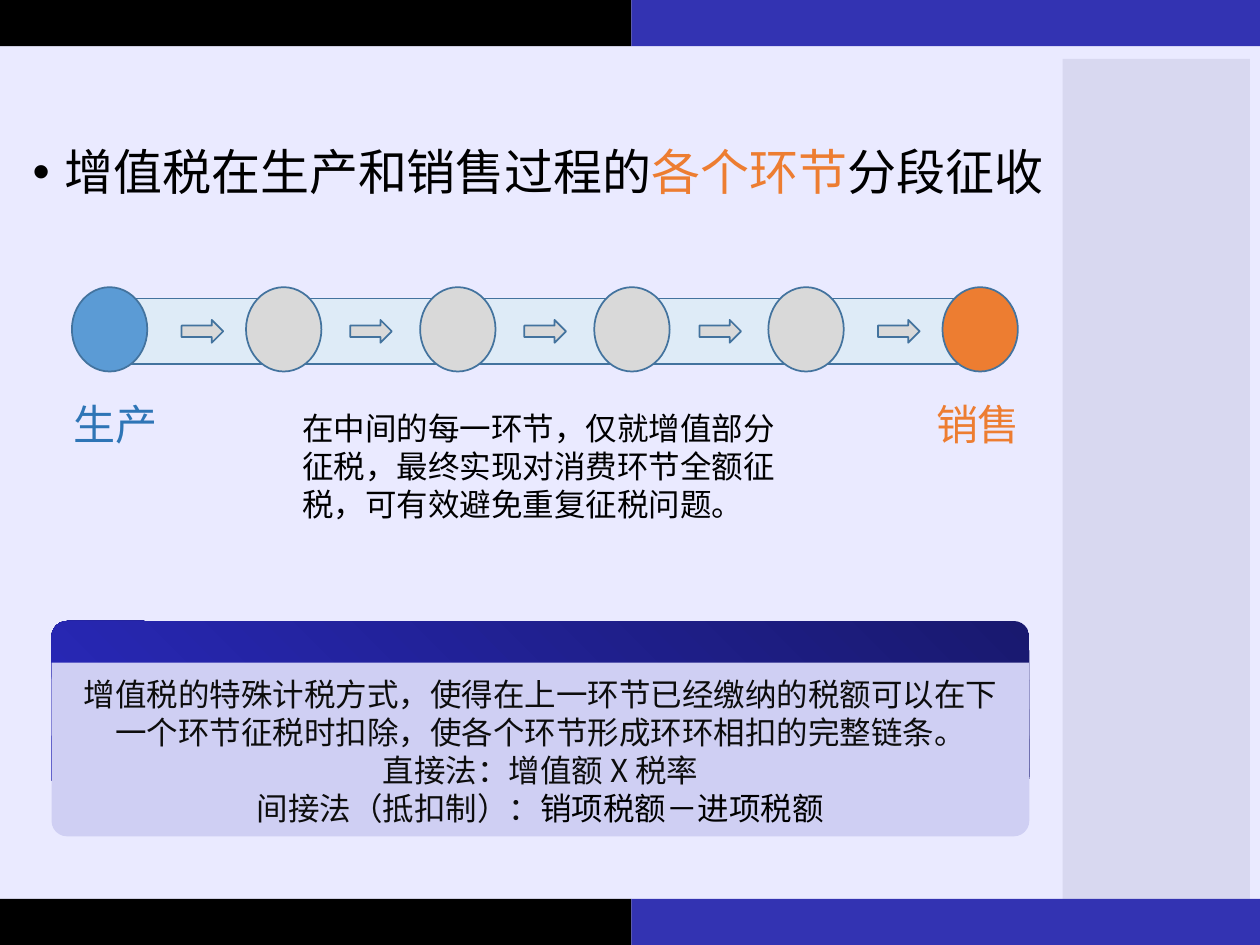
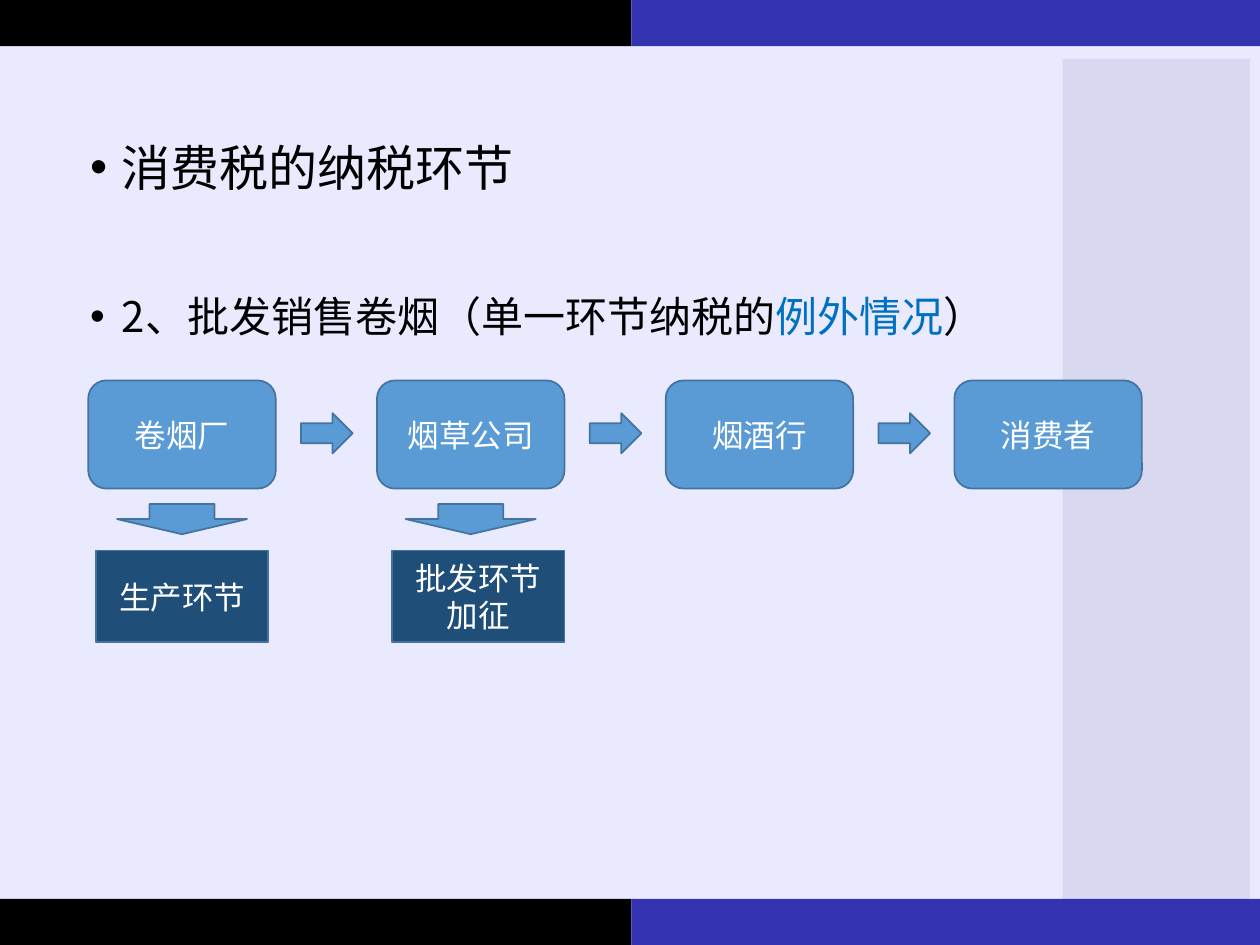
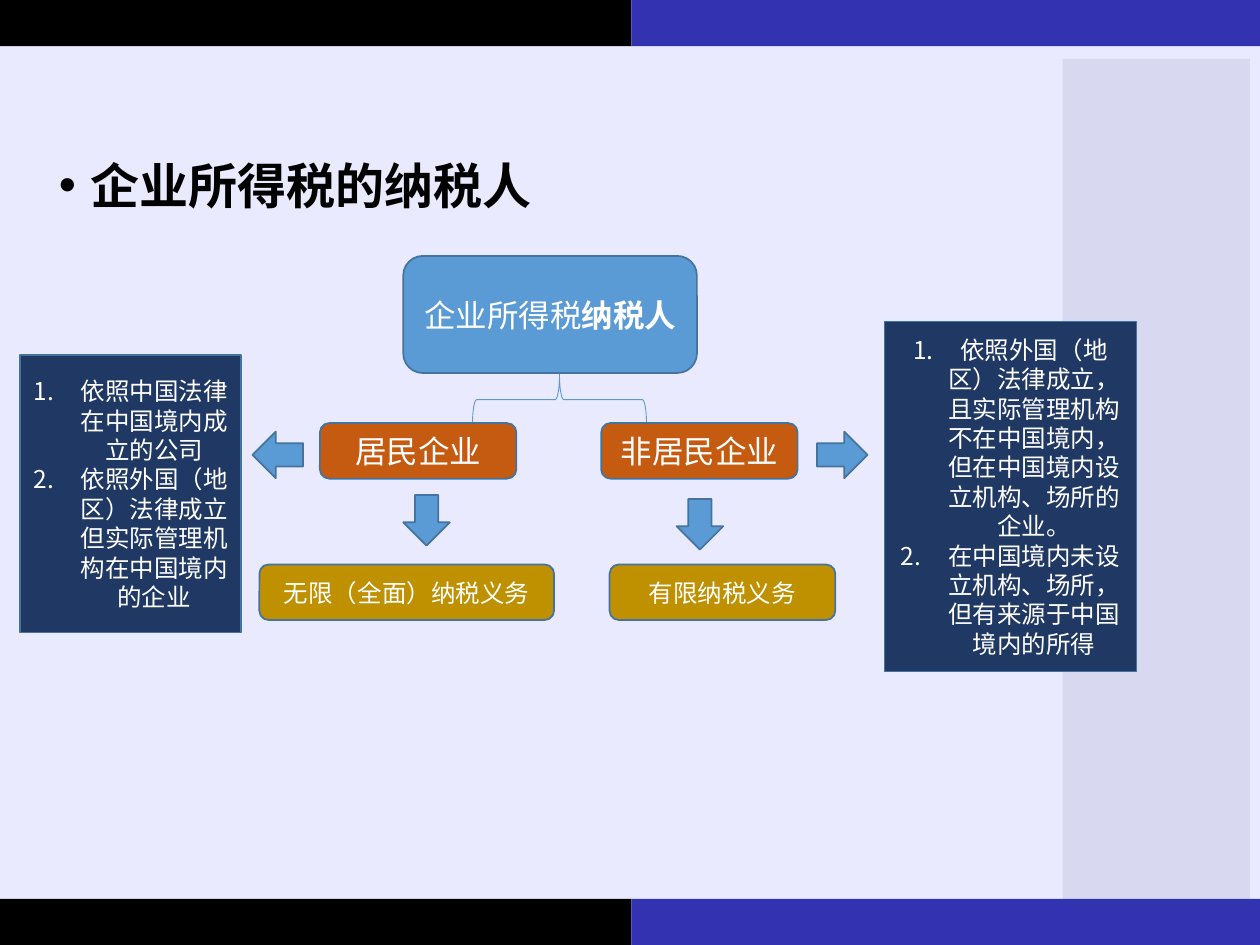
import pptx
import pptx.dml.color
import pptx.enum.shapes
import pptx.enum.text
import pptx.oxml.ns
import pptx.util
from lxml import etree

Cm = pptx.util.Cm
Pt = pptx.util.Pt
RGBColor = pptx.dml.color.RGBColor
Shape = pptx.enum.shapes.MSO_SHAPE
Align = pptx.enum.text.PP_ALIGN
Anchor = pptx.enum.text.MSO_ANCHOR

FONT = "Noto Sans CJK JP"
BLACK = RGBColor(0x00, 0x00, 0x00)
WHITE = RGBColor(0xFF, 0xFF, 0xFF)
BAND_BLUE = RGBColor(0x33, 0x33, 0xB2)
BACKDROP = RGBColor(0xEA, 0xEA, 0xFF)
SIDEBAR = RGBColor(0xD8, 0xD8, 0xF0)
OUTLINE = RGBColor(0x43, 0x73, 0x9E)
BLUE = RGBColor(0x5B, 0x9B, 0xD5)
PALE_BLUE = RGBColor(0xDE, 0xEB, 0xF7)
LABEL_BLUE = RGBColor(0x2E, 0x75, 0xB6)
ACCENT_BLUE = RGBColor(0x00, 0x70, 0xC0)
DEEP_BLUE = RGBColor(0x1F, 0x4E, 0x79)
NAVY = RGBColor(0x20, 0x38, 0x64)
ORANGE = RGBColor(0xED, 0x7D, 0x31)
RUST = RGBColor(0xC5, 0x5A, 0x11)
GOLD = RGBColor(0xBF, 0x90, 0x00)
GREY = RGBColor(0xD9, 0xD9, 0xD9)
PANEL = RGBColor(0xCF, 0xCF, 0xF3)
PANEL_TEXT = RGBColor(0x0D, 0x0D, 0x0D)
GRADIENT = (RGBColor(0x19, 0x19, 0x6F), RGBColor(0x29, 0x29, 0xBC))

WIDTH, HEIGHT = 25.4, 19.05
BAND_HEIGHT, BAND_SPLIT = 0.93, 12.73

# A paragraph is a string or a list of (text, emphasis);
# emphasis is None, a colour or BOLD.
BOLD = "bold"
VAT_HEADING = [("增值税在生产和销售过程的", None), ("各个环节", ORANGE), ("分段征收", None)]
VAT_STAGE_COLOURS = [BLUE, GREY, GREY, GREY, GREY, ORANGE]
VAT_ARROW_LEFTS = [3.66, 7.06, 10.57, 14.1, 17.7]
VAT_END_LABELS = [("生产", 1.24, LABEL_BLUE), ("销售", 18.62, ORANGE)]
VAT_NOTE = "在中间的每一环节，仅就增值部分征税，最终实现对消费环节全额征税，可有效避免重复征税问题。"
VAT_METHODS = [
    "增值税的特殊计税方式，使得在上一环节已经缴纳的税额可以在下一个环节征税时扣除，使各个环节形成环环相扣的完整链条。",
    "直接法：增值额 X 税率",
    [("间接法（抵扣制）：", None), ("销项税额－进项税额", BLACK)],
]

EXCISE_HEADING = "消费税的纳税环节"
EXCISE_CASE = [("2、批发销售卷烟（单一环节纳税的", None), ("例外情况", ACCENT_BLUE), ("）", None)]
EXCISE_CHAIN = ["卷烟厂", "烟草公司", "烟酒行", "消费者"]
EXCISE_TAXED = ["生产环节", "批发环节加征"]

INCOME_HEADING = [("企业所得税的纳税人", BOLD)]
INCOME_ROOT = [("企业所得税", None), ("纳税人", BOLD)]
INCOME_BOXES = [  # text, left, top, width, fill, size
    ("居民企业", 6.45, 8.53, 3.96, RUST, 18),
    ("非居民企业", 12.12, 8.53, 3.96, RUST, 18),
    ("无限（全面）纳税义务", 5.23, 11.38, 5.94, GOLD, 14),
    ("有限纳税义务", 12.29, 11.38, 4.55, GOLD, 14),
]
INCOME_ARROWS = [(8.13, 9.98, 0), (13.64, 10.06, 0), (5.13, 8.66, 90), (16.51, 8.66, 270)]
INCOME_DEFINITIONS = [
    ((0.41, 7.16, 4.45, 5.59), [
        "依照中国法律在中国境内成立的公司",
        "依照外国（地区）法律成立但实际管理机构在中国境内的企业",
    ]),
    ((17.83, 6.48, 5.08, 7.06), [
        "依照外国（地区）法律成立，且实际管理机构不在中国境内，但在中国境内设立机构、场所的企业。",
        "在中国境内未设立机构、场所，但有来源于中国境内的所得",
    ]),
]


def add_marker(paragraph, numbered):
    """Give the paragraph a hanging indent with a bullet or an automatic number."""
    indent = Cm(0.95 if numbered else 0.64)
    properties = paragraph._p.get_or_add_pPr()
    properties.set("marL", str(indent))
    properties.set("indent", str(-indent))
    qn = pptx.oxml.ns.qn
    if numbered:
        etree.SubElement(properties, qn("a:buAutoNum"), type="arabicPeriod")
    else:
        etree.SubElement(properties, qn("a:buFont"), typeface="Arial")
        etree.SubElement(properties, qn("a:buChar"), char="•")


def fill_paragraph(paragraph, content, size, colour):
    font = paragraph.font
    font.size, font.name = Pt(size), FONT
    font.color.rgb = colour
    font._element.set("lang", "zh-CN")
    etree.SubElement(font._element, pptx.oxml.ns.qn("a:ea"), typeface=FONT)
    runs = [(content, None)] if isinstance(content, str) else content
    for text, emphasis in runs:
        run = paragraph.add_run()
        run.text = text
        if emphasis == BOLD:
            run.font.bold = True
        elif emphasis is not None:
            run.font.color.rgb = emphasis


def write(shape, paragraphs, size, colour=WHITE, align=Align.CENTER, numbered=False):
    frame = shape.text_frame
    frame.word_wrap = True
    for index, content in enumerate(paragraphs):
        paragraph = frame.add_paragraph() if index else frame.paragraphs[0]
        if numbered:
            add_marker(paragraph, numbered=True)
        paragraph.alignment = align
        fill_paragraph(paragraph, content, size, colour)


def add_shape(slide, kind, box, fill=None, line=OUTLINE, line_width=1, rotation=0):
    shape = slide.shapes.add_shape(kind, *map(Cm, box))
    shape.shadow.inherit = False
    shape.rotation = rotation
    if fill is None:
        shape.fill.background()
    else:
        shape.fill.solid()
        shape.fill.fore_color.rgb = fill
    if line is None:
        shape.line.fill.background()
    else:
        shape.line.color.rgb = line
        shape.line.width = Pt(line_width)
    shape.text_frame.vertical_anchor = Anchor.MIDDLE
    return shape


def add_text(slide, box, text, size, colour):
    write(slide.shapes.add_textbox(*map(Cm, box)), [text], size, colour, Align.LEFT)


def add_headings(slide, box, items, line_spacing=1.0):
    """Bulleted headings; each item is (content, size, space before in points)."""
    frame = slide.shapes.add_textbox(*map(Cm, box)).text_frame
    frame.word_wrap = True
    for index, (content, size, space_before) in enumerate(items):
        paragraph = frame.add_paragraph() if index else frame.paragraphs[0]
        add_marker(paragraph, numbered=False)
        paragraph.line_spacing = line_spacing
        if space_before:
            paragraph.space_before = Pt(space_before)
        fill_paragraph(paragraph, content, size, BLACK)


def add_themed_slide(presentation):
    slide = presentation.slides.add_slide(presentation.slide_layouts[6])
    rectangles = [
        ((0, BAND_HEIGHT, WIDTH, HEIGHT - 2 * BAND_HEIGHT), BACKDROP),
        ((21.42, 1.19, 3.78, 17.12), SIDEBAR),
    ]
    for top in (0, HEIGHT - BAND_HEIGHT):
        rectangles += [
            ((0, top, BAND_SPLIT, BAND_HEIGHT), BLACK),
            ((BAND_SPLIT, top, WIDTH - BAND_SPLIT, BAND_HEIGHT), BAND_BLUE),
        ]
    for box, colour in rectangles:
        add_shape(slide, Shape.RECTANGLE, box, colour, line=None)
    return slide


def build_vat_slide(slide):
    add_headings(slide, (0.41, 2.87, 22.86, 3.23), [(VAT_HEADING, 28, 0)], 0.9)
    add_shape(slide, Shape.RECTANGLE, (1.85, 6.02, 17.55, 1.32), PALE_BLUE)
    for index, colour in enumerate(VAT_STAGE_COLOURS):
        add_shape(slide, Shape.OVAL, (1.45 + 3.51 * index, 5.79, 1.52, 1.7), colour)
    for left in VAT_ARROW_LEFTS:
        add_shape(slide, Shape.RIGHT_ARROW, (left, 6.45, 0.84, 0.46), GREY)
    for label, left, colour in VAT_END_LABELS:
        add_text(slide, (left, 7.91, 3.33, 1.27), label, 24, colour)
    add_text(slide, (5.84, 8.13, 10.54, 2.57), VAT_NOTE, 18, BLACK)

    left, width, height = 1.04, 19.71, 3.45
    header = add_shape(slide, Shape.ROUNDED_RECTANGLE, (left, 12.52, width, height), PANEL, line=None)
    header.fill.gradient()
    header.fill.gradient_angle = 225
    for stop, colour in zip(header.fill.gradient_stops, GRADIENT):
        stop.color.rgb = colour
    add_shape(slide, Shape.RECTANGLE, (left, 13.36, width, 1.47), PANEL, line=None)
    body = add_shape(slide, Shape.ROUNDED_RECTANGLE, (left, 13.41, width, height), PANEL, line=None)
    for shape in (header, body):
        shape.adjustments[0] = 0.09
    write(body, VAT_METHODS, 18, PANEL_TEXT)


def build_excise_slide(slide):
    add_headings(slide, (1.57, 2.64, 19.33, 13.74),
                 [(EXCISE_HEADING, 28, 0), (EXCISE_CASE, 24, 54)])
    step = 5.82
    for index, name in enumerate(EXCISE_CHAIN):
        offset = step * index
        box = add_shape(slide, Shape.ROUNDED_RECTANGLE, (1.78 + offset, 7.67, 3.78, 2.18), BLUE)
        write(box, [name], 18)
        if index < len(EXCISE_CHAIN) - 1:
            add_shape(slide, Shape.RIGHT_ARROW, (6.07 + offset, 8.33, 1.04, 0.81), BLUE)
    for index, name in enumerate(EXCISE_TAXED):
        add_shape(slide, Shape.DOWN_ARROW, (2.36 + step * index, 10.16, 2.62, 0.61), BLUE)
        box = add_shape(slide, Shape.RECTANGLE, (1.93 + 5.97 * index, 11.1, 3.48, 1.85), DEEP_BLUE)
        write(box, [name], 18)


def build_income_slide(slide):
    add_headings(slide, (0.94, 2.77, 22.86, 15.21), [(INCOME_HEADING, 28, 0)], 1.2)
    root = add_shape(slide, Shape.ROUNDED_RECTANGLE, (8.13, 5.16, 5.92, 2.36), BLUE)
    write(root, [INCOME_ROOT], 18)
    add_shape(slide, Shape.RIGHT_BRACE, (10.77, 6.3, 1.02, 3.51),
              line=BLUE, line_width=0.5, rotation=270)
    for text, left, top, width, fill, size in INCOME_BOXES:
        box = add_shape(slide, Shape.ROUNDED_RECTANGLE, (left, top, width, 1.12), fill)
        write(box, [text], size)
    for left, top, rotation in INCOME_ARROWS:
        add_shape(slide, Shape.DOWN_ARROW, (left, top, 0.94, 1.02), BLUE, rotation=rotation)
    for box, definitions in INCOME_DEFINITIONS:
        write(add_shape(slide, Shape.RECTANGLE, box, NAVY), definitions, 14, numbered=True)


def main():
    presentation = pptx.Presentation()
    presentation.slide_width, presentation.slide_height = Cm(WIDTH), Cm(HEIGHT)
    for build in (build_vat_slide, build_excise_slide, build_income_slide):
        build(add_themed_slide(presentation))
    presentation.save("out.pptx")


if __name__ == "__main__":
    main()
